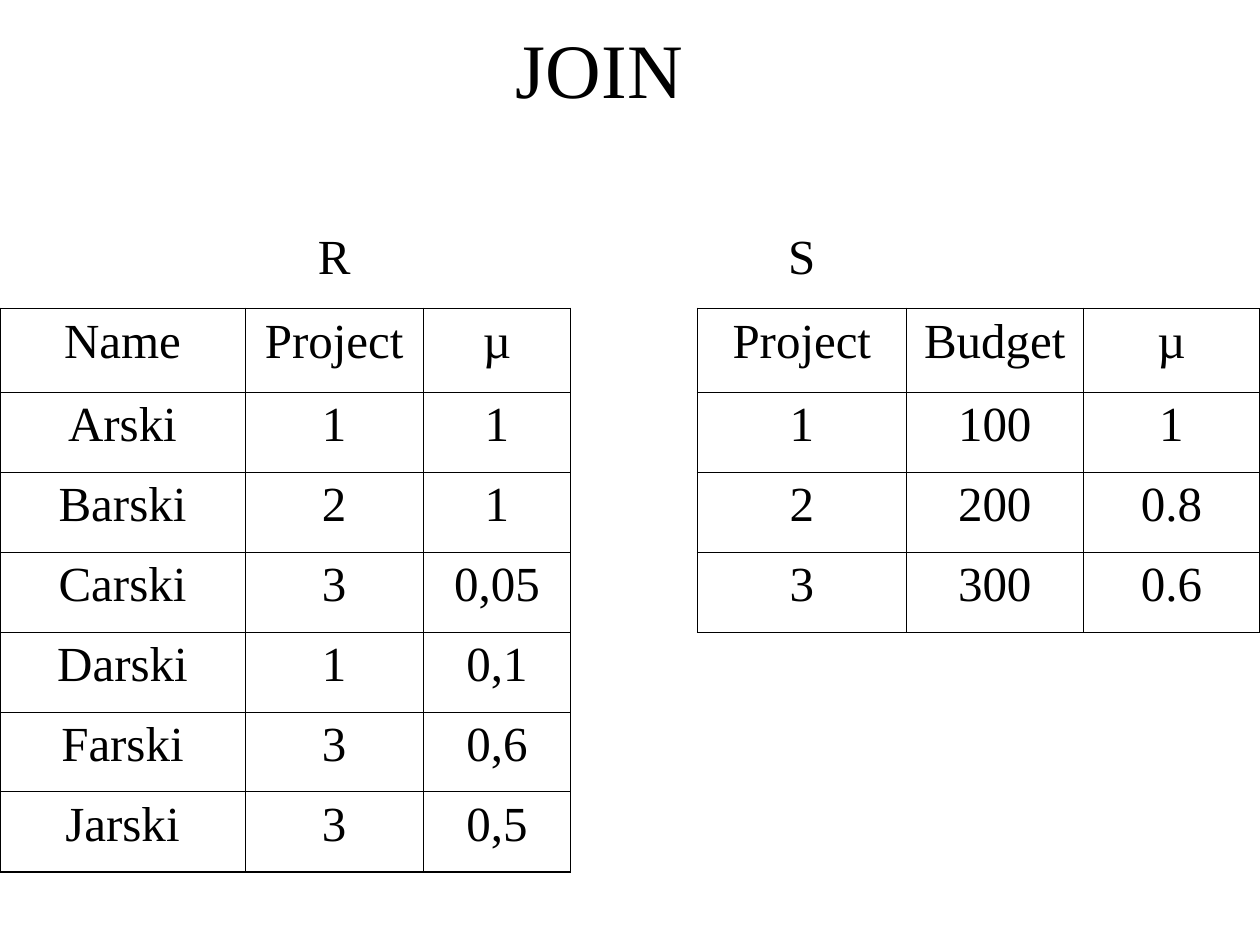
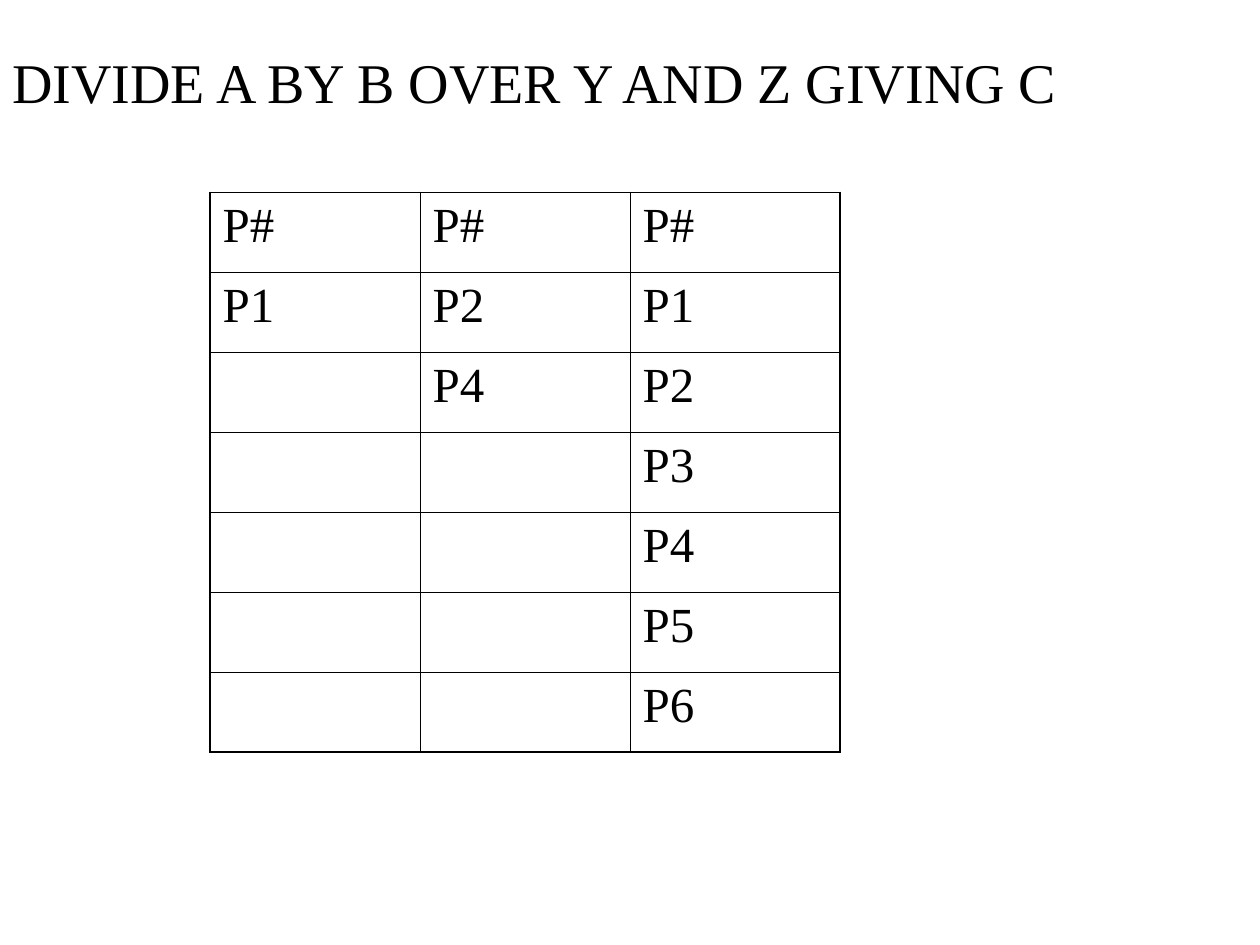
from lxml import etree
from pptx import Presentation
from pptx.dml.color import RGBColor
from pptx.enum.text import MSO_ANCHOR, PP_ALIGN
from pptx.oxml.ns import qn
from pptx.util import Pt

FONT = "Times New Roman"
BLACK = RGBColor(0x00, 0x00, 0x00)
LEFT, CENTER = PP_ALIGN.LEFT, PP_ALIGN.CENTER
TOP, MIDDLE = MSO_ANCHOR.TOP, MSO_ANCHOR.MIDDLE
PLAIN_TABLE_STYLE = "{2D5ABB26-0587-4C30-8999-92F81FD0307C}"
INNER_LINE, OUTER_LINE = Pt(0.45), Pt(1.08)
CELL_SIZE = 28
ROW_HEIGHT = 45.72


def write(frame, text, size, align):
    paragraph = frame.paragraphs[0]
    paragraph.text = text
    paragraph.alignment = align
    paragraph.font.name = FONT
    paragraph.font.size = Pt(size)
    paragraph.font.color.rgb = BLACK


def add_grid(slide, left, top, widths, heights, rows, framed_areas, align):
    """Add a plain table, ruling only the (row range, column range) areas given."""
    table = slide.shapes.add_table(len(rows), len(widths), Pt(left), Pt(top),
                                   Pt(sum(widths)), Pt(sum(heights))).table
    table.first_row = table.horz_banding = False
    table._tbl.tblPr.find(qn("a:tableStyleId")).text = PLAIN_TABLE_STYLE
    for column, width in zip(table.columns, widths):
        column.width = Pt(width)
    for row, height in zip(table.rows, heights):
        row.height = Pt(height)

    for r, texts in enumerate(rows):
        for c, text in enumerate(texts):
            cell = table.cell(r, c)
            write(cell.text_frame, text, CELL_SIZE, align)
            if any(r in area_rows and c in area_columns
                   for area_rows, area_columns in framed_areas):
                on_edge = {"a:lnL": c == 0, "a:lnR": c == len(widths) - 1,
                           "a:lnT": r == 0, "a:lnB": r == len(rows) - 1}
                properties = cell._tc.get_or_add_tcPr()
                for side, outer in on_edge.items():
                    line = etree.SubElement(properties, qn(side),
                                            w=str(OUTER_LINE if outer else INNER_LINE))
                    fill = etree.SubElement(line, qn("a:solidFill"))
                    etree.SubElement(fill, qn("a:srgbClr"), val=str(BLACK))
            cell.fill.background()


prs = Presentation()
prs.slide_width, prs.slide_height = Pt(720), Pt(540)
blank = prs.slide_layouts[6]
join_slide, divide_slide = [prs.slides.add_slide(blank) for _ in range(2)]

# Relations R and S share one table, with an unruled column between them
join_rows = [
    ["", "R", "", "", "S", "", ""],
    ["Name", "Project", "µ", "", "Project", "Budget", "µ"],
    ["Arski", "1", "1", "", "1", "100", "1"],
    ["Barski", "2", "1", "", "2", "200", "0.8"],
    ["Carski", "3", "0,05", "", "3", "300", "0.6"],
    ["Darski", "1", "0,1", "", "", "", ""],
    ["Farski", "3", "0,6", "", "", "", ""],
    ["Jarski", "3", "0,5", "", "", "", ""],
]
relation_r = (range(1, 8), range(0, 3))
relation_s = (range(1, 5), range(4, 7))
add_grid(join_slide, 0, 128, [140, 102, 84, 72.5, 119.5, 101, 101],
         [48, 48] + [ROW_HEIGHT] * 6, join_rows, [relation_r, relation_s], CENTER)

# Quotients for the three divisors
quotients = [["P1"], ["P2", "P4"], ["P1", "P2", "P3", "P4", "P5", "P6"]]
longest = max(len(parts) for parts in quotients)
divide_rows = [["P#"] * len(quotients)]
for i in range(longest):
    divide_rows.append([parts[i] if i < len(parts) else "" for parts in quotients])

# Headings: slide, text, size, alignment, anchor, top inset, box
headings = [
    (join_slide, "JOIN", 44, CENTER, MIDDLE, 3.6, (36.5, 0, 612, 77)),
    (divide_slide, "DIVIDE A BY B OVER Y AND Z GIVING C", 32, LEFT, TOP, 7.2,
     (0, 20, 720, 520)),
]
for slide, text, size, align, anchor, inset, box in headings:
    frame = slide.shapes.add_textbox(*map(Pt, box)).text_frame
    frame.word_wrap = True
    frame.vertical_anchor = anchor
    frame.margin_top = Pt(inset)
    write(frame, text, size, align)

add_grid(divide_slide, 120, 110, [120] * 3, [ROW_HEIGHT] * len(divide_rows),
         divide_rows, [(range(len(divide_rows)), range(3))], LEFT)

prs.save("out.pptx")
